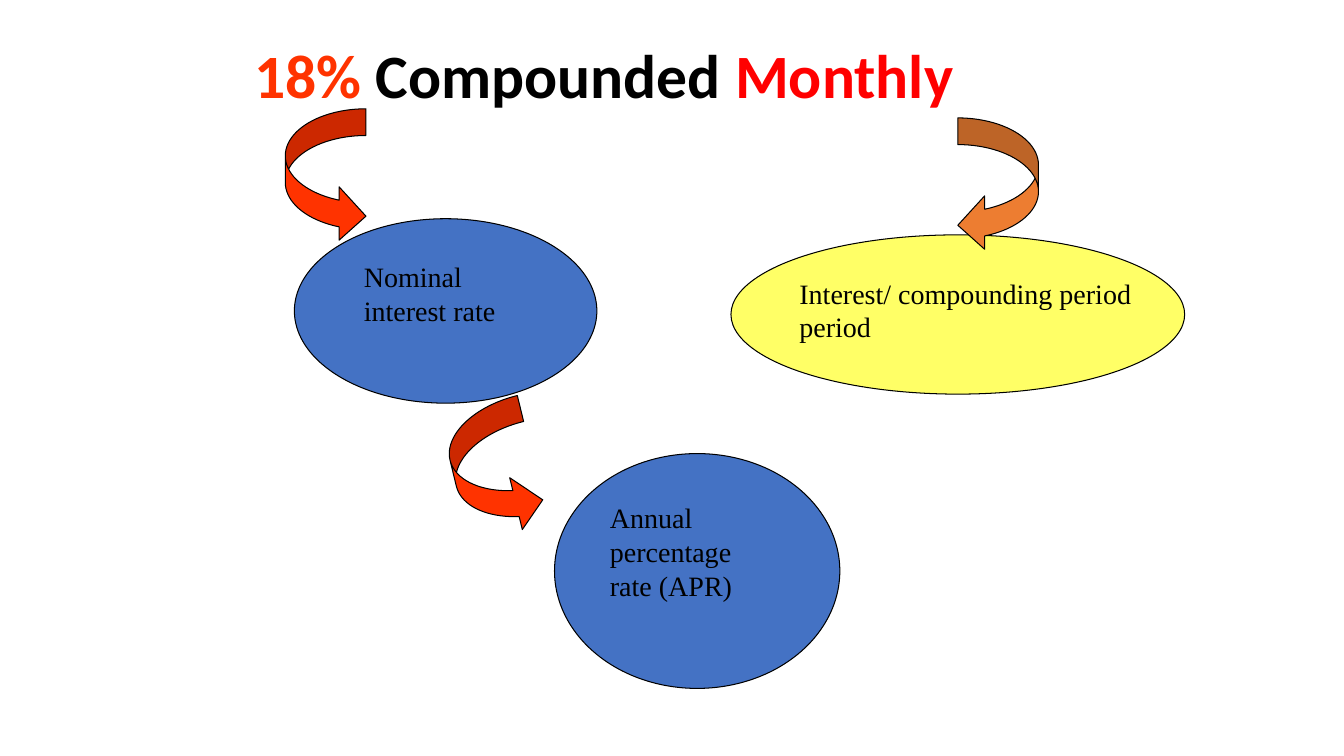
from pptx import Presentation
from pptx.dml.color import RGBColor
from pptx.enum.shapes import MSO_SHAPE as Preset
from pptx.enum.text import MSO_ANCHOR as Anchor, MSO_AUTO_SIZE as AutoSize, PP_ALIGN as Align
from pptx.util import Inches, Pt

COLORS = {
    "black": "000000",
    "blue": "4472C4",
    "yellow": "FFFF66",
    "vermilion": "FF3300",
    "red": "FF0000",
    "orange": "ED7D31",
}
TITLE_RUNS = [("18%", "vermilion"), (" Compounded ", "black"), ("Monthly", "red")]
ARROW_SIZE = (0.8, 1.33)
ARROW_ADJUSTMENTS = (0.331, 0.662, 0.333)

# ellipse box, fill, label box relative to the ellipse, label lines
TERMS = [
    ((5.5, 4.5, 2.83, 2.33), "blue", (0.45, 0.42, 1.42, 1.11),
     ["Annual", "percentage", "rate (APR)"]),
    ((2.92, 2.17, 3, 1.83), "blue", (0.59, 0.36, 1.51, 0.77),
     ["Nominal", "interest rate"]),
    ((7.25, 2.33, 4.5, 1.58), "yellow", (0.58, 0.36, 3.58, 0.77),
     ["Interest/ compounding period", "period"]),
]
# preset, left, top, fill, rotation
ARROWS = [
    (Preset.CURVED_RIGHT_ARROW, 2.83, 1.08, "vermilion", 0),
    (Preset.CURVED_LEFT_ARROW, 9.5, 1.17, "orange", 0),
    (Preset.CURVED_RIGHT_ARROW, 4.5, 4, "vermilion", 346.3),
]


def rgb(name):
    return RGBColor.from_string(COLORS[name])


def format_font(font, color, **values):
    for attribute, value in values.items():
        setattr(font, attribute, value)
    font.color.rgb = rgb(color)


def add_outlined_shape(slide, preset, box, fill):
    shape = slide.shapes.add_shape(preset, *map(Inches, box))
    shape.shadow.inherit = False
    shape.fill.solid()
    shape.fill.fore_color.rgb = rgb(fill)
    shape.line.color.rgb = rgb("black")
    shape.line.width = Pt(0.75)
    return shape


def add_title(slide, box):
    title = slide.shapes.title
    title.left, title.top, title.width, title.height = map(Inches, box)
    frame = title.text_frame
    frame_format = {
        "auto_size": AutoSize.NONE,
        "word_wrap": True,
        "vertical_anchor": Anchor.MIDDLE,
        "margin_top": Inches(0.2),
    }
    for attribute, value in frame_format.items():
        setattr(frame, attribute, value)
    paragraph = frame.paragraphs[0]
    paragraph.alignment = Align.LEFT
    paragraph.line_spacing = 0.9
    for text, color in TITLE_RUNS:
        run = paragraph.add_run()
        run.text = text
        format_font(run.font, color, name="Calibri", size=Pt(44), bold=True)


def add_term(slide, box, fill, label_box, lines):
    """Draw an ellipse and its label, placed from the ellipse's corner."""
    add_outlined_shape(slide, Preset.OVAL, box, fill)
    left, top, width, height = label_box
    label = slide.shapes.add_textbox(
        Inches(box[0] + left), Inches(box[1] + top), Inches(width), Inches(height))
    frame = label.text_frame
    frame.word_wrap = False
    frame.auto_size = AutoSize.SHAPE_TO_FIT_TEXT
    frame.text = "\n".join(lines)
    for paragraph in frame.paragraphs:
        paragraph.alignment = Align.LEFT
        format_font(paragraph.runs[0].font, "black", name="Times New Roman", size=Pt(20))


def add_curved_arrow(slide, preset, left, top, fill, rotation):
    arrow = add_outlined_shape(slide, preset, (left, top, *ARROW_SIZE), fill)
    arrow.rotation = rotation
    for index, value in enumerate(ARROW_ADJUSTMENTS):
        arrow.adjustments[index] = value


def main():
    presentation = Presentation()
    presentation.slide_width = Inches(13.33)
    presentation.slide_height = Inches(7.5)
    slide = presentation.slides.add_slide(presentation.slide_layouts[5])
    add_title(slide, (2.42, 0.08, 8.5, 1.25))
    for term in TERMS:
        add_term(slide, *term)
    for arrow in ARROWS:
        add_curved_arrow(slide, *arrow)
    presentation.save("out.pptx")


if __name__ == "__main__":
    main()
